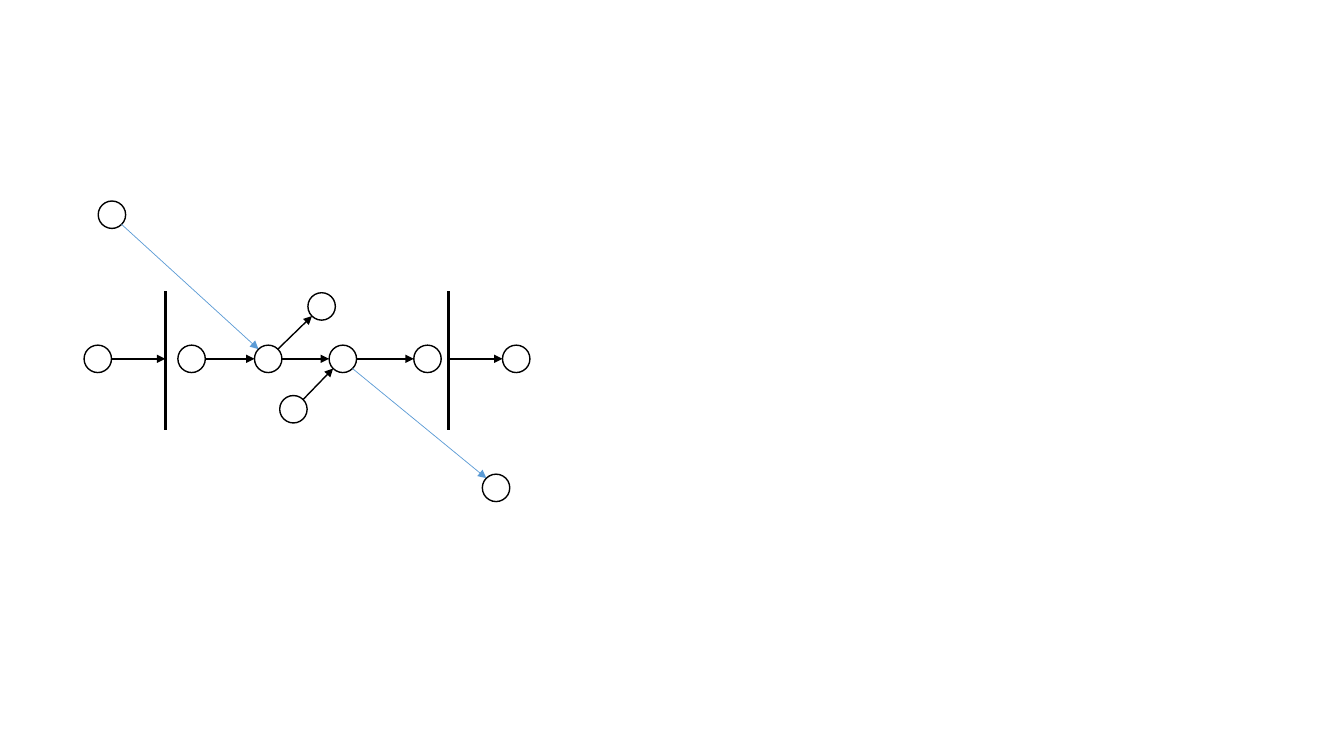
import math
from dataclasses import dataclass

from lxml import etree
from pptx import Presentation
from pptx import util as u
from pptx.dml.color import RGBColor
from pptx.enum import shapes
from pptx.oxml import ns


@dataclass(frozen=True)
class Theme:
    ink: str = "000000"
    accent: str = "5B9BD5"
    thin: float = 0.5
    regular: float = 1
    heavy: float = 2


class Diagram:
    columns, rows = 13.33, 7.5
    radius = 0.136

    def __init__(self, slide, theme, width, height):
        self.slide, self.theme = slide, theme
        self.column, self.row = width / self.columns, height / self.rows

    def place(self, column, row):
        return u.Emu(round(column * self.column)), u.Emu(round(row * self.row))

    def stroke(self, line, color, weight):
        line.color.rgb = RGBColor.from_string(color)
        line.width = u.Pt(weight)

    def node(self, column, row):
        corner = self.place(column - self.radius, row - self.radius)
        size = self.place(2 * self.radius, 2 * self.radius)
        circle = self.slide.shapes.add_shape(shapes.MSO_SHAPE.OVAL, *corner, *size)
        circle.shadow.inherit = False
        circle.fill.background()
        self.stroke(circle.line, self.theme.ink, self.theme.regular)

    def line(self, start, end, color, weight):
        connector = self.slide.shapes.add_connector(
            shapes.MSO_CONNECTOR.STRAIGHT, *self.place(*start), *self.place(*end))
        self.stroke(connector.line, color, weight)
        etree.SubElement(connector._element.spPr, ns.qn("a:effectLst"))
        return connector

    def wall(self, column, top, bottom):
        self.line((column, top), (column, bottom), self.theme.ink, self.theme.heavy)

    def arrow(self, start, end, color, weight, start_gap, end_gap):
        bearing = math.atan2(end[1] - start[1], end[0] - start[0])
        bearing = round(bearing / (math.pi / 4)) * math.pi / 4
        dx, dy = math.cos(bearing), math.sin(bearing)
        connector = self.line(
            (start[0] + start_gap * dx, start[1] + start_gap * dy),
            (end[0] - end_gap * dx, end[1] - end_gap * dy), color, weight)
        etree.SubElement(connector.line._get_or_add_ln(), ns.qn("a:tailEnd"), type="triangle")


theme = Theme()
deck = Presentation()
deck.slide_width, deck.slide_height = u.Inches(13.33), u.Inches(7.5)
slide = deck.slides.add_slide(deck.slide_layouts[6])
diagram = Diagram(slide, theme, deck.slide_width, deck.slide_height)

axis = 3.56
nodes = {
    "source": (0.97, axis),
    "entry": (1.9, axis),
    "merge": (2.66, axis),
    "split": (3.4, axis),
    "exit": (4.24, axis),
    "sink": (5.12, axis),
    "outer_source": (1.11, 2.13),
    "outer_sink": (4.92, 4.84),
    "branch_out": (3.19, 3.04),
    "branch_in": (2.91, 4.06),
}
walls = {"left_wall": (1.64, axis), "right_wall": (4.45, axis)}
stops = nodes | walls

main_links = [
    ("source", "left_wall"), ("entry", "merge"), ("merge", "split"),
    ("split", "exit"), ("right_wall", "sink"),
    ("merge", "branch_out"), ("branch_in", "split"),
]
outer_links = [("outer_source", "merge"), ("split", "outer_sink")]

for center in nodes.values():
    diagram.node(*center)
for column, _ in walls.values():
    diagram.wall(column, 2.89, 4.27)
for links, color, weight in (
    (main_links, theme.ink, theme.regular),
    (outer_links, theme.accent, theme.thin),
):
    for start, end in links:
        gaps = [diagram.radius if stop in nodes else 0 for stop in (start, end)]
        diagram.arrow(stops[start], stops[end], color, weight, *gaps)

deck.save("out.pptx")
